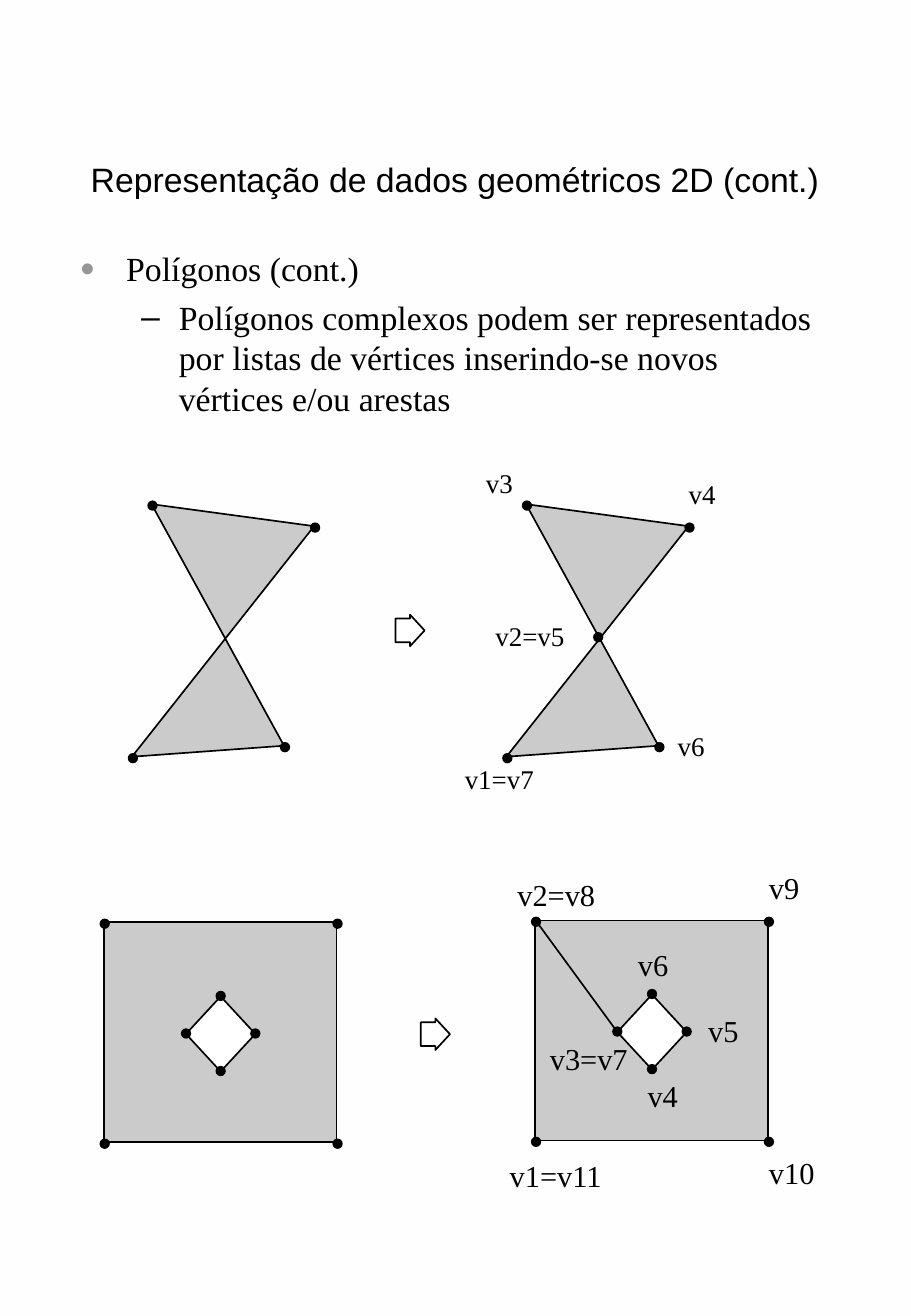
from pptx import Presentation
from pptx.util import Cm, Pt
from pptx.dml.color import RGBColor
from pptx.enum.shapes import MSO_SHAPE as Shape, MSO_CONNECTOR as Wire
from pptx.enum.text import PP_ALIGN as Align, MSO_ANCHOR as Anchor, MSO_AUTO_SIZE as Auto
from pptx.oxml.ns import qn
from lxml.etree import SubElement

INK = {"black": "000000", "gray": "CBCBCB", "mark": "969696",
       "white": "FFFFFF", "page": "FEFEFE"}
SERIF = "Times New Roman"
SANS = "Arial"
DOT = 0.18


def color(name):
    return RGBColor.from_string(INK[name])


def paint(shape, fill):
    shape.shadow.inherit = False
    shape.fill.solid()
    shape.fill.fore_color.rgb = color(fill)
    shape.line.color.rgb = color("black")
    shape.line.width = Pt(1)
    return shape


def write(para, text, font=SERIF, size=20, ink="black", align=Align.LEFT):
    para.alignment = align
    run = para.add_run()
    run.text = text
    run.font.name = font
    run.font.size = Pt(size)
    run.font.color.rgb = color(ink)


def frame_text(slide, box, wrap=True, anchor=Anchor.TOP):
    frame = slide.shapes.add_textbox(*map(Cm, box)).text_frame
    frame.word_wrap = wrap
    frame.vertical_anchor = anchor
    return frame


def bullet(para, char, left, hang, ink, size=100, font=SERIF):
    props = para._p.get_or_add_pPr()
    props.set("marL", str(Cm(left)))
    props.set("indent", str(Cm(-hang)))
    tint = SubElement(props, qn("a:buClr"))
    SubElement(tint, qn("a:srgbClr"), val=INK[ink])
    SubElement(props, qn("a:buSzPct"), val=str(size * 1000))
    SubElement(props, qn("a:buFont"), typeface=font)
    SubElement(props, qn("a:buChar"), char=char)


def title(slide, box):
    frame = frame_text(slide, box, anchor=Anchor.MIDDLE)
    write(frame.paragraphs[0], "Representação de dados geométricos 2D (cont.)",
          font=SANS, align=Align.CENTER)


def body(slide, box):
    frame = frame_text(slide, box)
    head, item = frame.paragraphs[0], frame.add_paragraph()
    bullet(head, "●", 0.97, 0.97, "mark", 75)
    bullet(item, "–", 2.07, 0.79, "black", font=SANS)
    item.level = 1
    item.space_before = Pt(5)
    write(head, "Polígonos (cont.)")
    write(item, "Polígonos complexos podem ser representados por listas de "
                "vértices inserindo-se novos vértices e/ou arestas")


def outline(slide, x, y, points):
    spots = [(Cm(x + dx), Cm(y + dy)) for dx, dy in points]
    build = slide.shapes.build_freeform(*spots[0])
    build.add_line_segments(spots[1:], close=True)
    paint(build.convert_to_shape(), "gray")


def dots(slide, x, y, points):
    for dx, dy in points:
        spot = slide.shapes.add_shape(
            Shape.OVAL, Cm(x + dx - DOT / 2), Cm(y + dy - DOT / 2), Cm(DOT), Cm(DOT))
        paint(spot, "black")


def labels(slide, x, y, size, items):
    for text, dx, dy in items:
        ems = len(text) / 2 + 0.1 * text.count("=")
        wide = ems * size * 0.0353 + 0.55
        high = size * 0.0406 + 0.25
        frame = frame_text(slide, (x + dx, y + dy, wide, high), wrap=False)
        frame.auto_size = Auto.SHAPE_TO_FIT_TEXT
        write(frame.paragraphs[0], text, size=size)


def bow(slide, x, y, names=(), middle=()):
    points = [(0, 5.28), (3.81, 0.46), (0.41, 0), (3.18, 5.05)]
    outline(slide, x, y, points)
    dots(slide, x + 0.02, y + 0.03, [*points, *middle])
    labels(slide, x, y, 16, names)


def ring(slide, x, y, names=(), cut=False):
    w, h = 4.87, 4.6
    left, top, dw, dh = 1.72, 1.55, 1.45, 1.57
    mid, half = left + dw / 2, top + dh / 2
    corners = [(0, h), (0, 0), (w, 0), (w, h)]
    outline(slide, x, y, corners)
    hole = slide.shapes.add_shape(Shape.DIAMOND, Cm(x + left), Cm(y + top), Cm(dw), Cm(dh))
    paint(hole, "white")
    dots(slide, x + 0.02, y + 0.03, corners)
    dots(slide, x, y - 0.01, [(left, half), (mid, top), (left + dw, half), (mid, top + dh)])
    if cut:
        edge = slide.shapes.add_connector(
            Wire.STRAIGHT, Cm(x + 0.04), Cm(y + 0.04), Cm(x + left), Cm(y + half))
        edge.line.color.rgb = color("black")
        edge.line.width = Pt(1)
        SubElement(edge._element.spPr, qn("a:effectLst"))
    labels(slide, x, y, 18, names)


def arrow(slide, x, y):
    shape = slide.shapes.add_shape(Shape.RIGHT_ARROW, Cm(x), Cm(y), Cm(0.61), Cm(0.66))
    shape.adjustments[0], shape.adjustments[1] = 0.75, 0.5
    paint(shape, "white")


def backdrop(slide):
    fill = slide.background.fill
    fill.gradient()
    fill.gradient_angle = 180
    for stop, name in zip(fill.gradient_stops, ("page", "white")):
        stop.color.rgb = color(name)


def main():
    deck = Presentation()
    deck.slide_width, deck.slide_height = Cm(19.05), Cm(27.51)
    slide = deck.slides.add_slide(deck.slide_layouts[6])
    backdrop(slide)
    title(slide, (1.43, 2.44, 16.18, 2.59))
    body(slide, (1.42, 5.05, 16.18, 19.41))
    bow(slide, 2.76, 10.54)
    arrow(slide, 8.27, 12.85)
    bow(slide, 10.59, 10.54, middle=[(1.9, 2.75)], names=[
        ("v1=v7", -1.12, 5.28), ("v2=v5", -0.48, 2.29), ("v3", -0.68, -0.91),
        ("v4", 3.56, -0.68), ("v6", 3.33, 4.59)])
    ring(slide, 2.17, 19.28)
    arrow(slide, 8.8, 21.29)
    ring(slide, 11.19, 19.24, cut=True, names=[
        ("v1=v11", -0.78, 4.82), ("v2=v8", -0.62, -1.05), ("v3=v7", 0.06, 2.38),
        ("v10", 4.64, 4.76), ("v4", 2.1, 3.16), ("v5", 3.37, 1.79),
        ("v6", 1.9, 0.42), ("v9", 4.64, -1.19)])
    deck.save("out.pptx")


if __name__ == "__main__":
    main()
